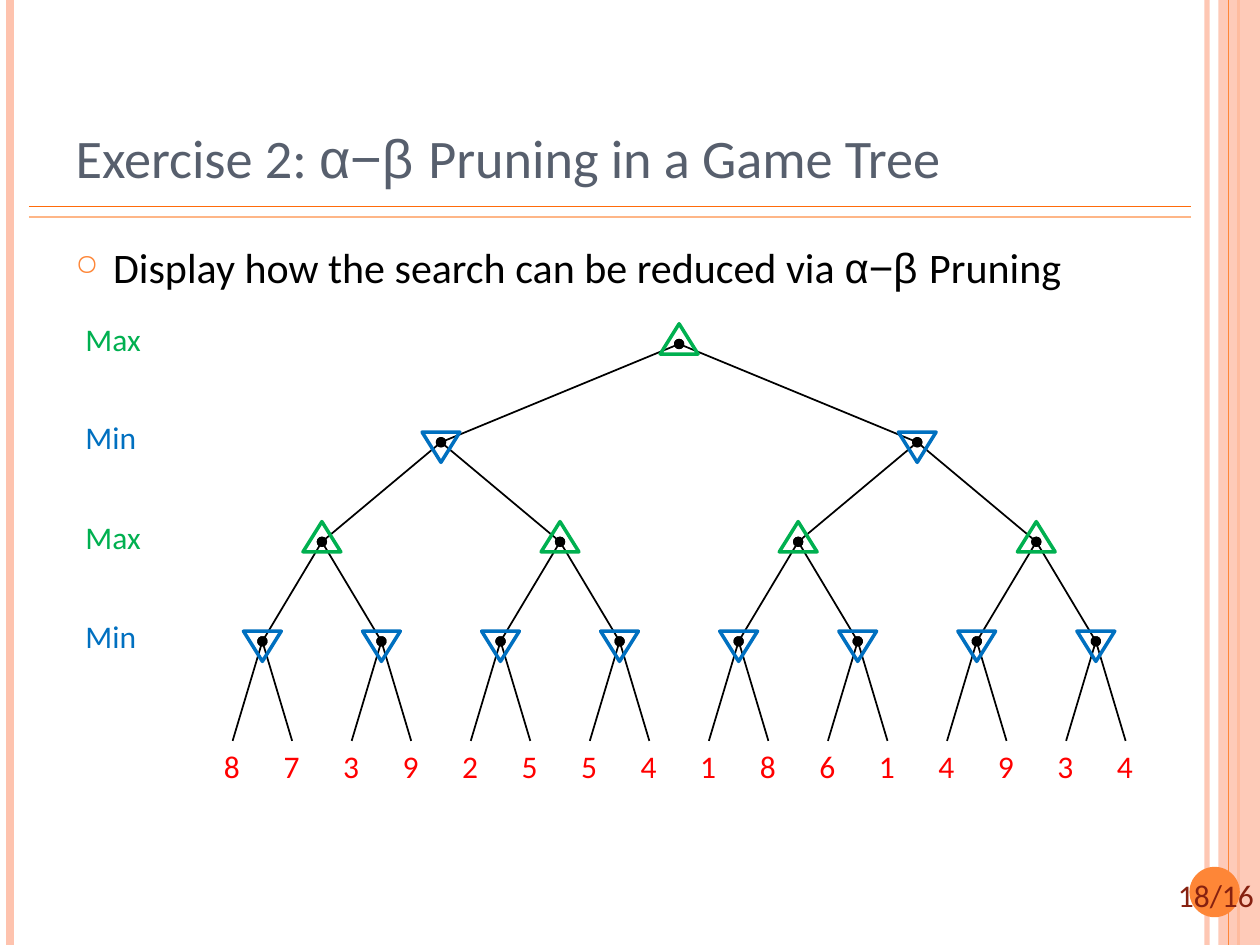
from lxml import etree
from pptx import Presentation
from pptx import util as u
from pptx.dml.color import RGBColor
from pptx.enum import shapes, text
from pptx.oxml.ns import qn

GREEN, BLUE, RED, ORANGE, PINK = "00B050", "0070C0", "FF0000", "FE8637", "FEC3AE"

# The tree: one row of nodes per level, then the leaf values
LEVELS = [("Max", 2.73), ("Min", 3.51), ("Max", 4.3), ("Min", 5.09)]
LEAF_Y = 5.88
LEAVES = "8739255418614934"
TREE_LEFT, TREE_WIDTH = 1.61, 7.56


def color(value):
    return RGBColor.from_string(value)


def add_child(parent, tag, **attributes):
    child = etree.SubElement(parent, qn(tag))
    for name, value in attributes.items():
        child.set(name, value)
    return child


def set_alpha(fill_parent, percent):
    value = next(fill_parent.iter(qn("a:srgbClr")))
    add_child(value, "a:alpha", val=str(percent * 1000))


def add_line(page, start, end, line_color, width, dot=False):
    line = page.shapes.add_connector(
        shapes.MSO_CONNECTOR.STRAIGHT, *(u.Inches(n) for n in (*start, *end)))
    line.line.color.rgb = color(line_color)
    line.line.width = u.Pt(width)
    if dot:
        add_child(line.line._get_or_add_ln(), "a:headEnd", type="oval")
    add_child(line._element.spPr, "a:effectLst")
    return line


def add_shape(page, kind, place, fill=None, outline=None):
    shape = page.shapes.add_shape(kind, *(u.Inches(n) for n in place))
    shape.shadow.inherit = False
    if fill:
        shape.fill.solid()
        shape.fill.fore_color.rgb = color(fill)
    else:
        shape.fill.background()
    if outline:
        shape.line.color.rgb = color(outline)
        shape.line.width = u.Pt(2)
    else:
        shape.line.fill.background()
    return shape


def add_runs(para, runs, size, font_color):
    for words, font in runs:
        span = para.add_run()
        span.text = words
        span.font.name = font
        span.font.size = u.Pt(size)
        span.font.color.rgb = color(font_color)


def add_text(page, place, runs, size, font_color, wrap=False, align=text.PP_ALIGN.LEFT):
    box = page.shapes.add_textbox(*(u.Inches(n) for n in place))
    box.text_frame.word_wrap = wrap
    para = box.text_frame.paragraphs[0]
    para.alignment = align
    add_runs(para, runs, size, font_color)
    return para


def add_bullet(para):
    props = para._p.get_or_add_pPr()
    props.set("marL", str(u.Inches(0.3)))
    props.set("indent", str(u.Inches(-0.3)))
    para.space_before = u.Pt(6)
    add_child(add_child(props, "a:buClr"), "a:srgbClr", val=ORANGE)
    add_child(props, "a:buSzPct", val="70000")
    add_child(props, "a:buChar", char="○")


def add_frame(page):
    # Side stripes
    stripe = add_line(page, (9.58, 0), (9.58, 7.5), PINK, 3)
    set_alpha(stripe._element.spPr, 93)
    add_line(page, (0.08, 0), (0.08, 7.5), PINK, 4.5)
    add_line(page, (9.83, 0), (9.83, 7.5), ORANGE, 1.5)
    band = add_shape(page, shapes.MSO_SHAPE.RECTANGLE, (9.67, 0, 0.33, 7.5), PINK)
    set_alpha(band._element.spPr, 87)
    add_line(page, (9.75, 0), (9.75, 7.5), ORANGE, 0.75)
    # Double rule under the title
    for y, rule_color in ((1.64, "FF6B0A"), (1.72, "FEB687")):
        add_line(page, (0.23, y), (9.45, y), rule_color, 1)
    # Page number
    add_shape(page, shapes.MSO_SHAPE.OVAL, (9.44, 6.88, 0.4, 0.4), ORANGE)
    add_text(page, (9.25, 6.9, 0.91, 0.4), [("18/16", "Calibri")], 18, "862110", wrap=True)


def add_title(page):
    title = page.shapes.title
    title.left, title.top, title.width, title.height = (
        u.Inches(n) for n in (0.5, 0.3, 8.17, 1.25))
    frame = title.text_frame
    frame.word_wrap = True
    frame.auto_size = text.MSO_AUTO_SIZE.NONE
    frame.vertical_anchor = text.MSO_ANCHOR.BOTTOM
    frame.paragraphs[0].alignment = text.PP_ALIGN.LEFT
    add_runs(frame.paragraphs[0], [
        ("Exercise 2: ", "Calibri"), ("α−β ", "Arial"),
        ("Pruning in a Game Tree", "Calibri")], 31, "575F6D")


def node_x(depth, index):
    return TREE_LEFT + TREE_WIDTH * (index + 0.5) / 2 ** depth


def add_node(page, player, x, y):
    is_max = player == "Max"
    top = y - (0.16 if is_max else 0.08)
    node = add_shape(page, shapes.MSO_SHAPE.ISOSCELES_TRIANGLE, (x - 0.15, top, 0.3, 0.24),
                     outline=GREEN if is_max else BLUE)
    if not is_max:
        node._element.spPr.xfrm.set("flipV", "1")


def add_tree(page):
    heights = [y for _, y in LEVELS] + [LEAF_Y]
    # Branches, from the leaves up
    for depth in reversed(range(len(LEVELS))):
        for index in range(2 ** depth):
            for child in (2 * index, 2 * index + 1):
                add_line(page, (node_x(depth, index), heights[depth]),
                         (node_x(depth + 1, child), heights[depth + 1]),
                         "000000", 1, dot=True)
    # Player labels and node triangles
    for depth, (player, y) in enumerate(LEVELS):
        add_text(page, (0.58, y - 0.24, 0.64, 0.4), [(player, "Calibri")], 18,
                 GREEN if player == "Max" else BLUE)
        for index in range(2 ** depth):
            add_node(page, player, node_x(depth, index), y)
    # Leaf values
    for index, value in enumerate(LEAVES):
        x = node_x(len(LEVELS), index)
        add_text(page, (x - 0.17, LEAF_Y, 0.33, 0.4), [(value, "Calibri")], 18, RED,
                 align=text.PP_ALIGN.CENTER)


def main():
    deck = Presentation()
    deck.slide_width, deck.slide_height = u.Inches(10), u.Inches(7.5)
    page = deck.slides.add_slide(deck.slide_layouts[5])
    add_frame(page)
    add_title(page)
    task = add_text(page, (0.5, 1.87, 8.17, 5.21), [
        ("Display how the search can be reduced via ", "Calibri"),
        ("α−β ", "Arial"), ("Pruning", "Calibri")], 24, "000000", wrap=True)
    add_bullet(task)
    add_tree(page)
    deck.save("out.pptx")


if __name__ == "__main__":
    main()
